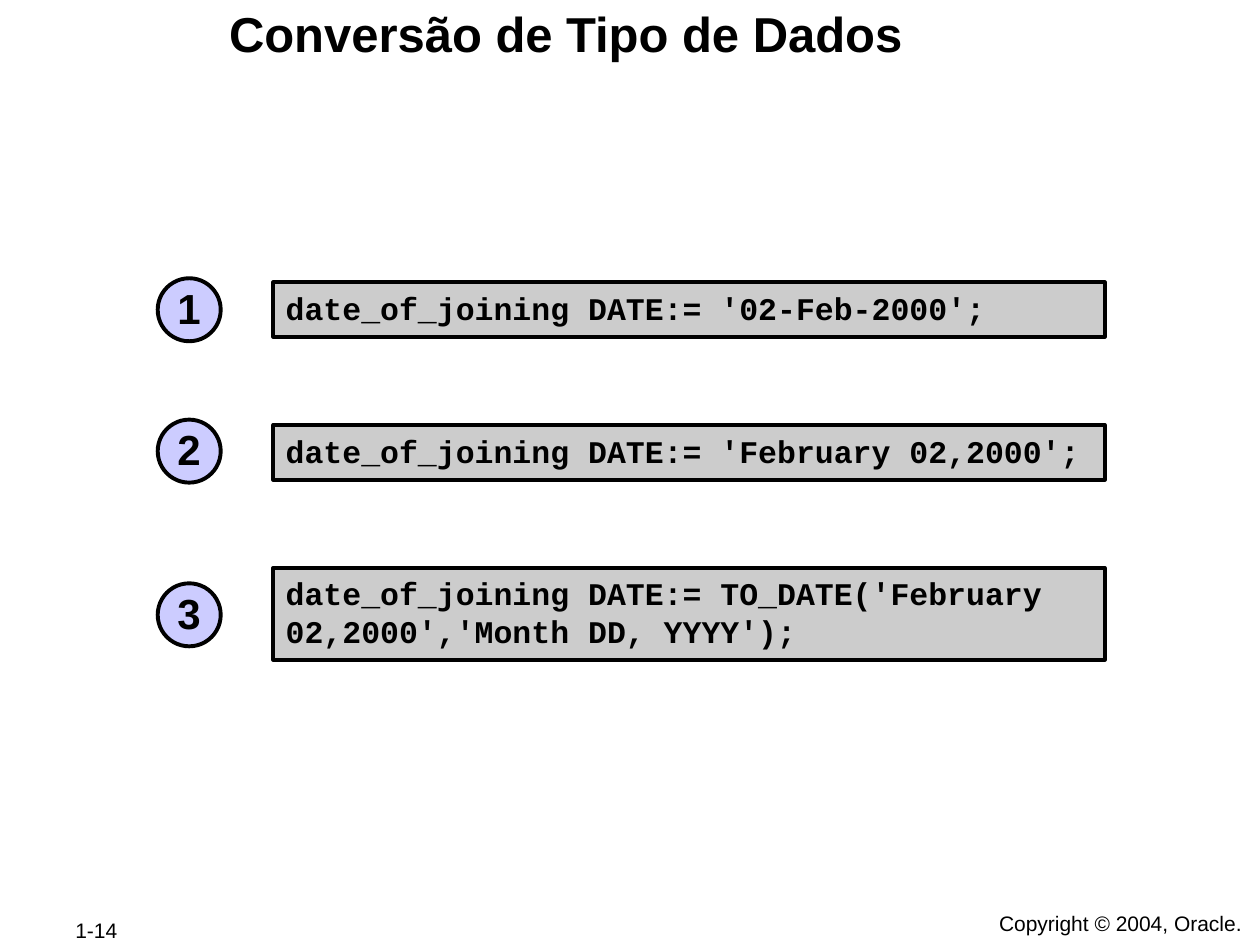
from pptx import Presentation
from pptx.dml.color import RGBColor
from pptx.enum.shapes import MSO_SHAPE
from pptx.enum.text import MSO_ANCHOR, PP_ALIGN
from pptx.util import Cm, Pt


def colour(value):
    return RGBColor.from_string(value)


def set_values(target, values):
    for name, value in values.items():
        setattr(target, name, value)


class SlideBuilder:
    ink = "000000"
    code_fill = "CCCCCC"
    badge_fill = "CCCCFF"
    border = Pt(2.25)
    title_font = {"name": "Arial", "size": Pt(28), "bold": True}
    code_font = {"name": "Courier New", "size": Pt(18), "bold": True}
    badge_font = {"name": "Arial", "size": Pt(24), "bold": True}
    footer_font = {"name": "Arial", "size": Pt(12), "bold": False}

    def __init__(self, page):
        self.page = page

    def add_label(self, box, text, font, align, anchor, inset):
        frame = box.text_frame
        set_values(frame, {
            "word_wrap": True,
            "vertical_anchor": anchor,
            "margin_left": Cm(inset[0]),
            "margin_right": Cm(inset[0]),
            "margin_top": Cm(inset[1]),
            "margin_bottom": Cm(inset[1]),
        })
        para = frame.paragraphs[0]
        para.alignment = align
        span = para.add_run()
        span.text = text
        set_values(span.font, font)
        span.font.color.rgb = colour(self.ink)
        return para

    def shape(self, kind, area, fill):
        box = self.page.shapes.add_shape(kind, *map(Cm, area))
        box.shadow.inherit = False
        box.fill.solid()
        box.fill.fore_color.rgb = colour(fill)
        box.line.color.rgb = colour(self.ink)
        box.line.width = self.border
        return box

    def title(self, text, area):
        box = self.page.shapes.add_textbox(*map(Cm, area))
        self.add_label(box, text, self.title_font, PP_ALIGN.CENTER,
                       MSO_ANCHOR.TOP, (0.03, 0.03))

    def footer(self, text, area, align):
        box = self.page.shapes.add_textbox(*map(Cm, area))
        self.add_label(box, text, self.footer_font, align,
                       MSO_ANCHOR.MIDDLE, (0.25, 0.13))

    def code(self, text, area):
        box = self.shape(MSO_SHAPE.RECTANGLE, area, self.code_fill)
        self.add_label(box, text, self.code_font, PP_ALIGN.LEFT,
                       MSO_ANCHOR.TOP, (0.25, 0.13))

    def badge(self, text, area):
        box = self.shape(MSO_SHAPE.OVAL, area, self.badge_fill)
        para = self.add_label(box, text, self.badge_font, PP_ALIGN.CENTER,
                              MSO_ANCHOR.MIDDLE, (0.13, 0.13))
        para.line_spacing = 0.95
        box.text_frame.word_wrap = False


def main():
    deck = Presentation()
    set_values(deck, {"slide_width": Cm(25.4), "slide_height": Cm(19.05)})
    slide = SlideBuilder(deck.slides.add_slide(deck.slide_layouts[6]))

    slide.footer("1-14", (1.27, 18.49, 2.69, 0.51), PP_ALIGN.LEFT)
    slide.footer("Copyright © 2004, Oracle.", (19.8, 18.26, 5.58, 0.71),
                 PP_ALIGN.CENTER)
    slide.title("Conversão de Tipo de Dados", (1.5, 0.05, 19.81, 1.65))

    examples = [
        ("date_of_joining DATE:= '02-Feb-2000';", 1.1, 5.61),
        ("date_of_joining DATE:= 'February 02,2000';", 1.1, 8.46),
        ("date_of_joining DATE:= TO_DATE('February 02,2000',"
         "'Month DD, YYYY');", 1.85, 11.76),
    ]
    first_top, pitch = 5.69, 2.88
    for index, (text, height, badge_top) in enumerate(examples):
        slide.code(text, (5.51, first_top + index * pitch, 16.76, height))
        slide.badge(str(index + 1), (3.18, badge_top, 1.27, 1.27))

    deck.save("out.pptx")


if __name__ == "__main__":
    main()
